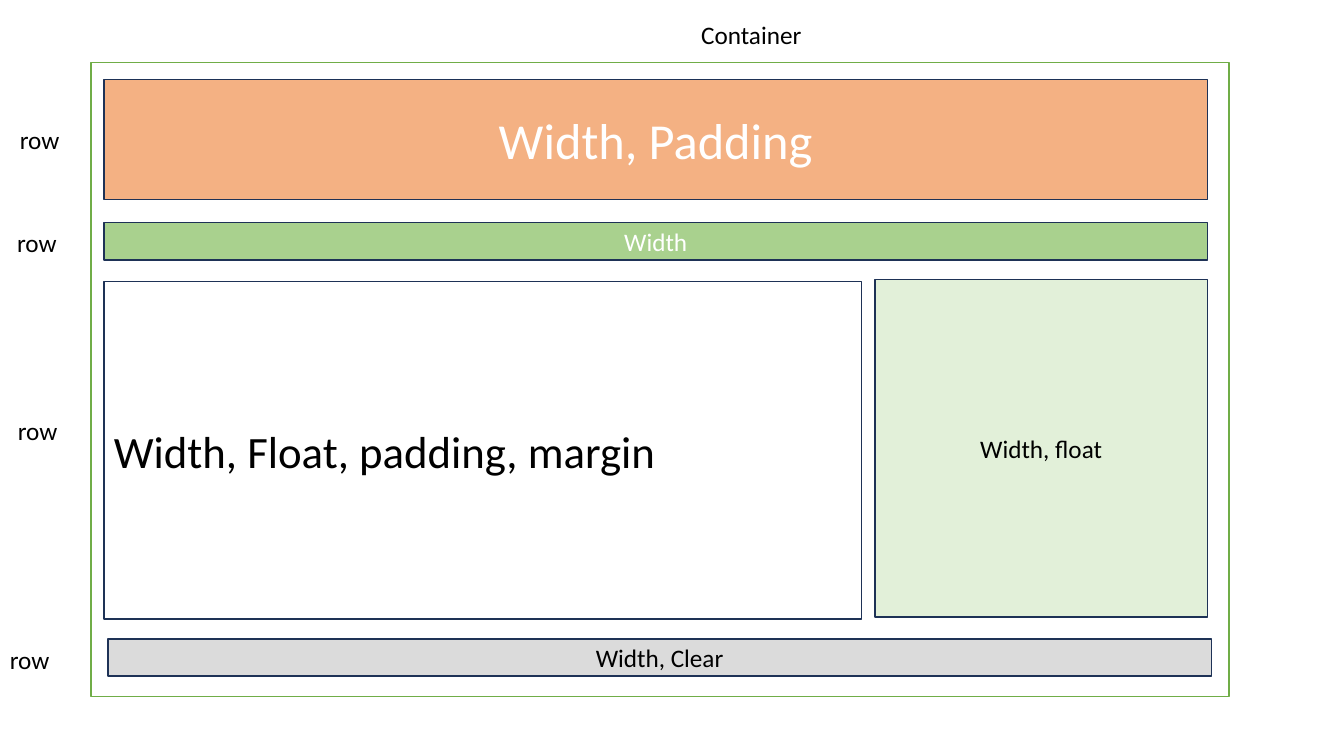
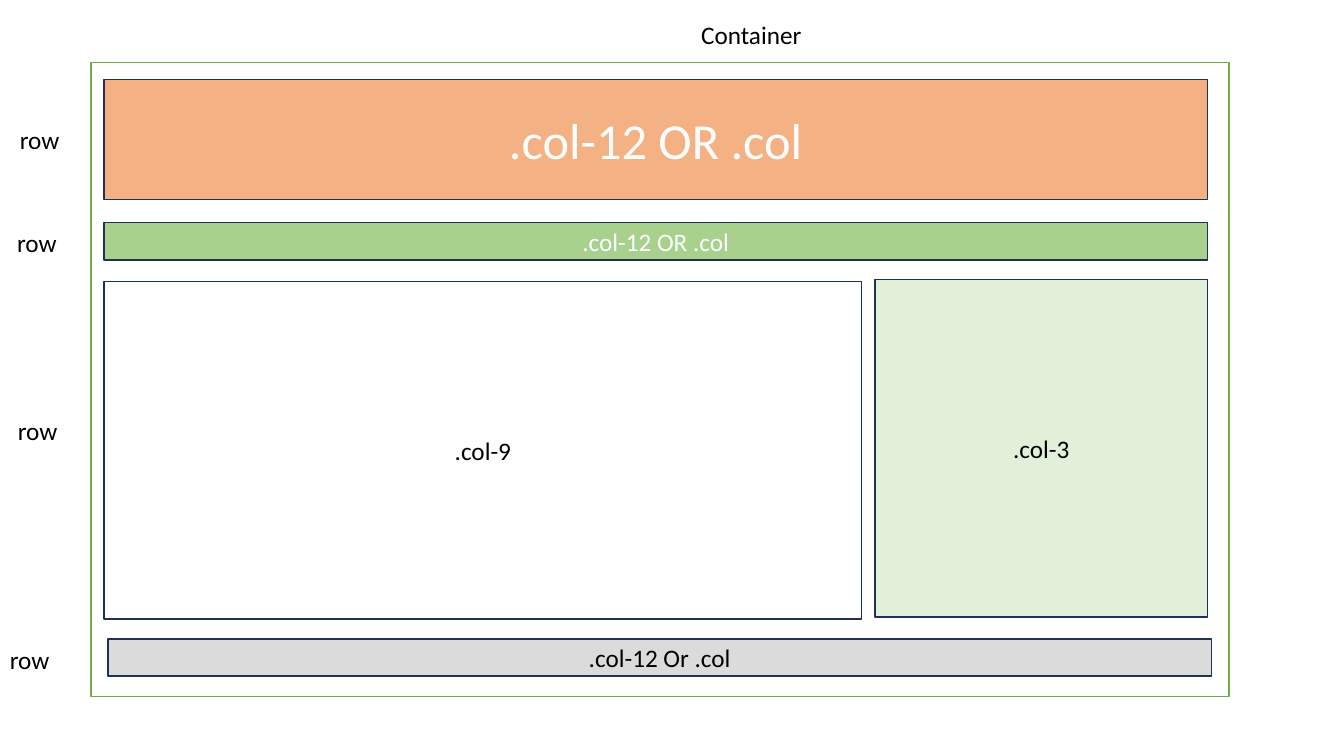
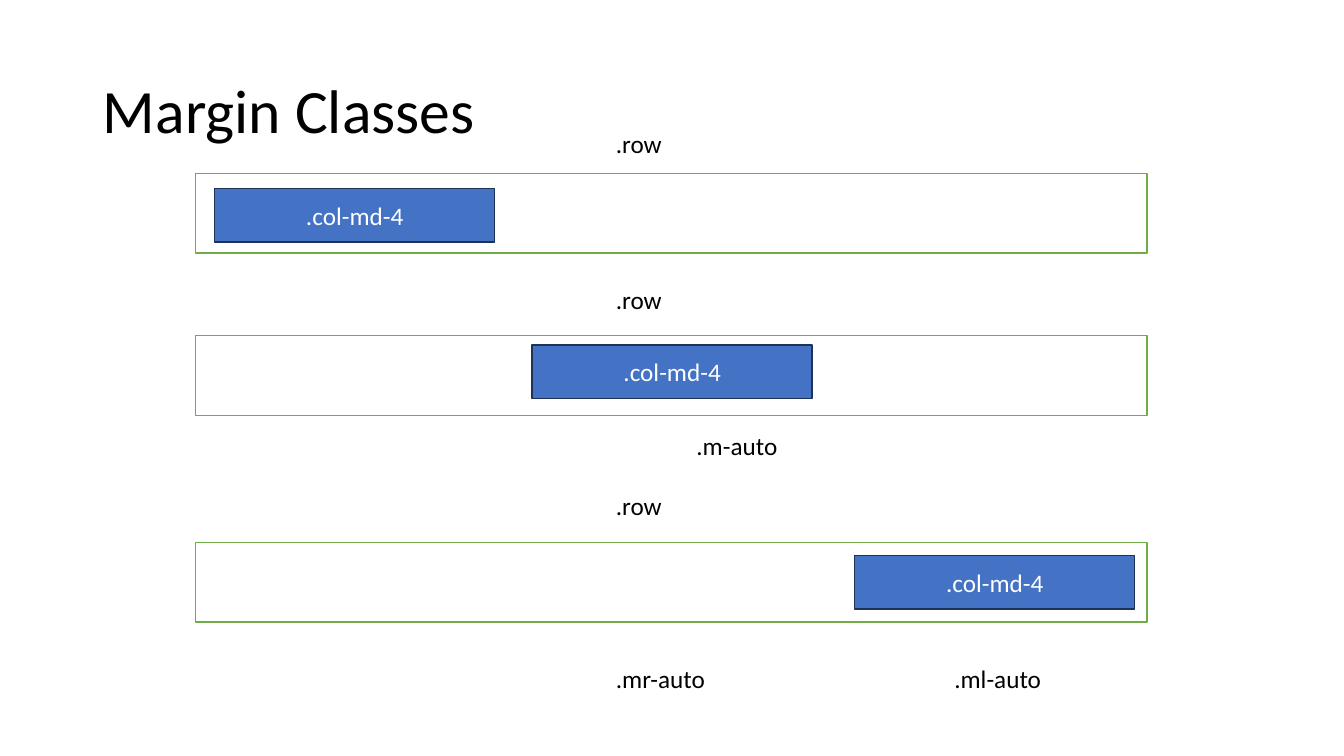
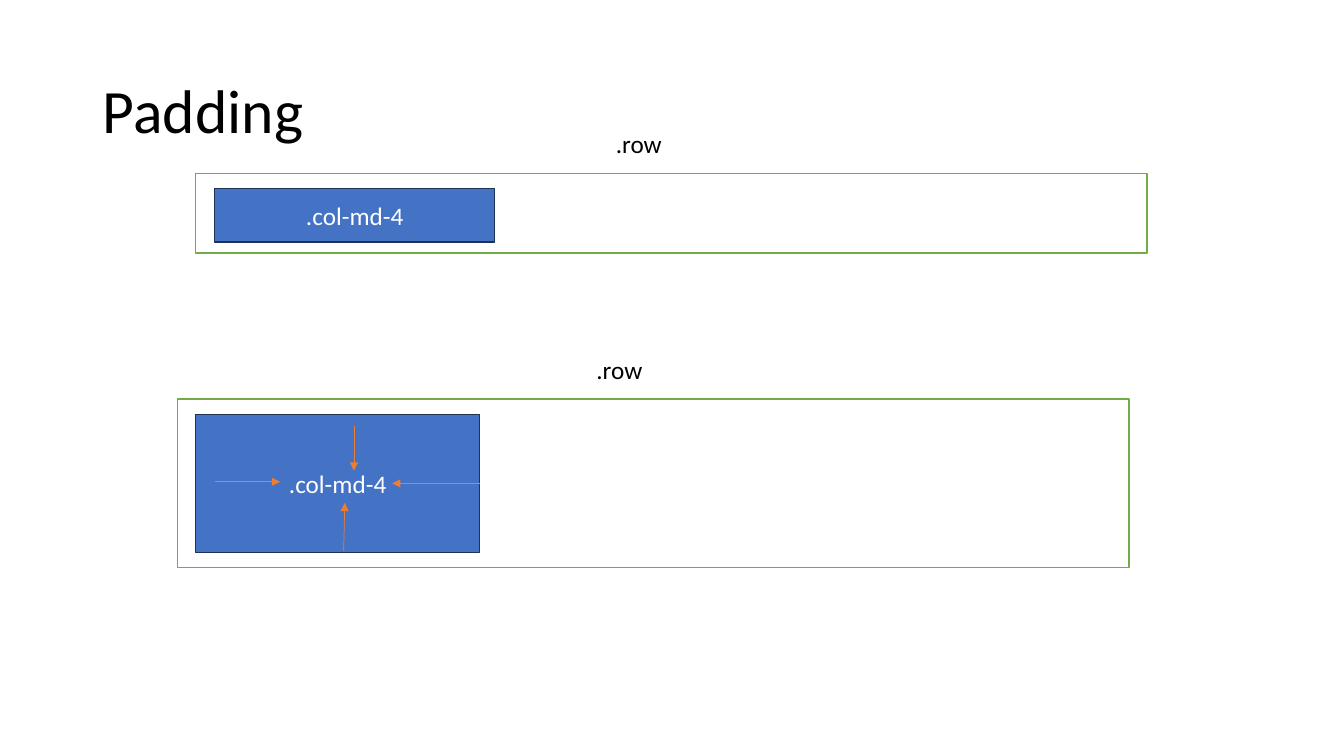
from lxml import etree
from pptx import Presentation
from pptx.dml.color import RGBColor
from pptx.enum.shapes import MSO_CONNECTOR, MSO_SHAPE
from pptx.enum.text import MSO_ANCHOR, MSO_AUTO_SIZE, PP_ALIGN
from pptx.oxml.ns import qn
from pptx.util import Cm, Pt

RECTANGLE = MSO_SHAPE.RECTANGLE
STRAIGHT = MSO_CONNECTOR.STRAIGHT
MIDDLE = MSO_ANCHOR.MIDDLE
FIT_SHAPE = MSO_AUTO_SIZE.SHAPE_TO_FIT_TEXT
LEFT, CENTER = PP_ALIGN.LEFT, PP_ALIGN.CENTER
TITLE_ONLY, BLANK = 5, 6
RIGHT_SIDE = 3

FONT = "Calibri"
COLORS = {
    "white": "FFFFFF",
    "black": "000000",
    "frame": "70AD47",
    "outline": "1E3256",
    "header": "F4B183",
    "menu": "A9D18E",
    "aside": "E2F0D9",
    "footer": "DBDBDB",
    "column": "4472C4",
    "arrow": "ED7D31",
}
LABEL_HEIGHT = 1.02
ROW_LEFT, ROW_WIDTH, ROW_HEIGHT = 4.93, 23.98, 2.01
COLUMN_WIDTH, COLUMN_HEIGHT = 7.06, 1.35
ROW_LABEL_LEFT = 15.27


def color(name):
    """Return the named colour."""
    return RGBColor.from_string(COLORS[name])


def write(frame, text, size=18, ink="black", align=LEFT):
    """Put one formatted paragraph into a text frame."""
    frame.text = text
    para = frame.paragraphs[0]
    para.alignment = align
    for span in para.runs:
        span.font.name = FONT
        span.font.size = Pt(size)
        span.font.color.rgb = color(ink)


def add_box(page, left, top, width, height, fill="white", line="outline"):
    """Add a plain outlined rectangle."""
    box = page.shapes.add_shape(RECTANGLE, Cm(left), Cm(top), Cm(width), Cm(height))
    box.shadow.inherit = False
    box.fill.solid()
    box.fill.fore_color.rgb = color(fill)
    box.line.color.rgb = color(line)
    box.line.width = Pt(1)
    return box


def add_text_box(page, place, fill, text, ink="black", size=18, align=CENTER):
    """Add a rectangle with vertically centred text."""
    box = add_box(page, *place, fill)
    box.text_frame.vertical_anchor = MIDDLE
    write(box.text_frame, text, size, ink, align)
    return box


def add_label(page, text, left, top, width):
    """Add a one-line label that does not wrap."""
    label = page.shapes.add_textbox(Cm(left), Cm(top), Cm(width), Cm(LABEL_HEIGHT))
    label.text_frame.word_wrap = False
    label.text_frame.auto_size = FIT_SHAPE
    write(label.text_frame, text)


def add_arrow(page, start, end):
    """Add a thin arrow between two points."""
    arrow = page.shapes.add_connector(STRAIGHT, *map(Cm, start + end))
    arrow.line.color.rgb = color("arrow")
    arrow.line.width = Pt(0.5)
    etree.SubElement(arrow.line._get_or_add_ln(), qn("a:tailEnd"), type="triangle")
    etree.SubElement(arrow._element.spPr, qn("a:effectLst"))
    return arrow


def add_row(page, top, label_top, left=ROW_LEFT, height=ROW_HEIGHT, label_left=ROW_LABEL_LEFT):
    """Add a grid row with its label."""
    add_box(page, left, top, ROW_WIDTH, height, line="frame")
    add_label(page, ".row", label_left, label_top, 1.68)


def add_column(page, left, top, width=COLUMN_WIDTH, height=COLUMN_HEIGHT):
    """Add a blue grid column."""
    return add_text_box(page, (left, top, width, height), "column", ".col-md-4", "white")


def add_titled_page(deck, text):
    """Add a page with a formatted title."""
    page = deck.slides.add_slide(deck.slide_layouts[TITLE_ONLY])
    title = page.shapes.title
    title.left, title.top, title.width, title.height = map(Cm, (2.34, 1.02, 29.21, 3.68))
    title.text_frame.vertical_anchor = MIDDLE
    write(title.text_frame, text, 44)
    title.text_frame.paragraphs[0].line_spacing = 0.9
    return page


def add_layout_page(deck, header, menu, footer, content, aside, content_size=18, content_align=CENTER):
    """Add a page showing a web page layout made of rows."""
    page = deck.slides.add_slide(deck.slide_layouts[BLANK])
    add_box(page, 2.29, 1.57, 28.68, 15.98, line="frame")
    add_text_box(page, (2.62, 2.01, 27.81, 3.02), "header", header, "white", 36)
    add_text_box(page, (2.62, 5.61, 27.81, 0.94), "menu", menu, "white")
    add_text_box(page, (2.72, 16.1, 27.81, 0.94), "footer", footer)
    add_text_box(page, (2.62, 7.09, 19.1, 8.51), "white", content, size=content_size, align=content_align)
    add_text_box(page, (22.05, 7.04, 8.38, 8.51), "aside", aside)
    add_label(page, "Container", 17.42, 0.36, 3.07)
    for left, top in ((0.18, 5.61), (0.25, 3.02), (0, 16.1), (0.2, 10.34)):
        add_label(page, "row", left, top, 1.52)


def add_margin_page(deck):
    """Add the page on margin classes."""
    page = add_titled_page(deck, "Margin Classes")
    rows = (
        (4.37, 3.12, 5.41, 4.75),
        (8.46, 7.04, 13.41, 8.69),
        (13.67, 12.24, 21.54, 14),
    )
    for top, label_top, column_left, column_top in rows:
        add_row(page, top, label_top)
        add_column(page, column_left, column_top)
    add_label(page, ".ml-auto", 23.8, 16.59, 2.72)
    add_label(page, ".m-auto", 17.3, 10.72, 2.57)
    add_label(page, ".mr-auto", ROW_LABEL_LEFT, 16.59, 2.79)


def add_padding_page(deck):
    """Add the page on padding."""
    page = add_titled_page(deck, "Padding")
    add_row(page, 4.37, 3.12)
    add_column(page, 5.41, 4.75)
    add_row(page, 10.06, 8.81, left=4.47, height=4.24, label_left=14.78)
    column = add_column(page, 4.93, 10.44, 7.16, 3.48)
    add_arrow(page, (5.41, 12.14), (7.06, 12.14))
    from_right = add_arrow(page, (12.09, 12.18), (9.88, 12.18))
    from_right.begin_connect(column, RIGHT_SIDE)
    add_arrow(page, (8.92, 10.74), (8.92, 11.86))
    add_arrow(page, (8.66, 13.89), (8.69, 12.67))


def main():
    """Build and save the deck."""
    deck = Presentation()
    deck.slide_width, deck.slide_height = Cm(33.87), Cm(19.05)
    add_layout_page(
        deck, "Width, Padding", "Width", "Width, Clear",
        "Width, Float, padding, margin", "Width, float", 32, LEFT,
    )
    add_layout_page(deck, ".col-12 OR .col", ".col-12 OR .col", ".col-12 Or .col", ".col-9", ".col-3")
    add_margin_page(deck)
    add_padding_page(deck)
    deck.save("out.pptx")


if __name__ == "__main__":
    main()
